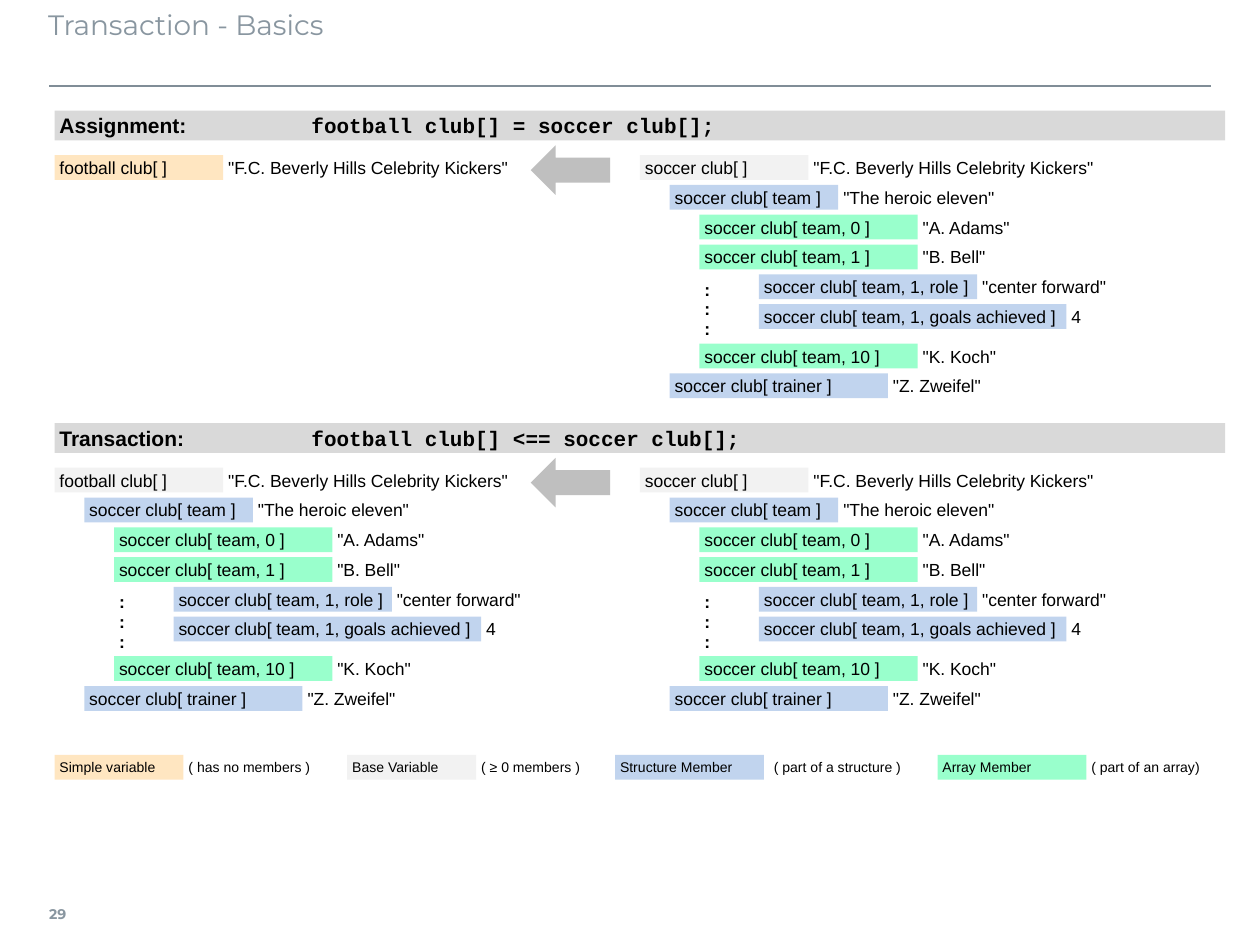
from dataclasses import dataclass

from pptx import Presentation
from pptx.dml.color import RGBColor
from pptx.enum.shapes import MSO_CONNECTOR as Connector, MSO_SHAPE as Shape
from pptx.enum.text import MSO_ANCHOR as Anchor, PP_ALIGN as Align
from pptx.oxml.ns import qn
from pptx.util import Inches, Mm, Pt


@dataclass(frozen=True)
class Theme:
    simple: str = "FFE6C1"
    base: str = "F2F2F2"
    structure: str = "C1D4EE"
    array: str = "99FFCC"
    bar: str = "D9D9D9"
    arrow: str = "BFBFBF"
    heading: str = "8996A0"
    rule: str = "808D97"
    ink: str = "000000"
    body_font: str = "Arial"
    code_font: str = "Courier New"
    title_font: str = "Montserrat"
    title_size: int = 16
    bar_size: int = 12
    body_size: int = 10
    small_size: int = 8


THEME = Theme()

# The grid has square cells of 1 mm
LEFT = 11       # margin of the content
RIGHT_TREE = 129  # left edge of the right-hand tree
INDENT = 6      # step between tree levels
CELL = 5        # height of a tag
BAR_TOPS = (22.3, 85.3)
LEGEND_TOP = 152.2

# Members below a base variable: row offset, level, width, kind, name, value, value width
MEMBERS = [
    (6, 1, 34, THEME.structure, "soccer club[ team ]", '"The heroic eleven"', 58),
    (12, 2, 44, THEME.array, "soccer club[ team, 0 ]", '"A. Adams"', 32),
    (18, 2, 44, THEME.array, "soccer club[ team, 1 ]", '"B. Bell"', 32),
    (24, 4, 44, THEME.structure, "soccer club[ team, 1, role ]", '"center forward"', 28),
    (30, 4, 62, THEME.structure, "soccer club[ team, 1, goals achieved ]", "4", 10),
    (38, 2, 44, THEME.array, "soccer club[ team, 10 ]", '"K. Koch"', 32),
    (44, 1, 44, THEME.structure, "soccer club[ trainer ]", '"Z. Zweifel"', 44),
]
DOT_ROWS = (24, 28, 32)
CLUB = '"F.C. Beverly Hills Celebrity Kickers"'
CLUB_WIDTH = 61  # room for the club name on one line

# Legend: column, width, kind, name, note column, note width, note
LEGEND = [
    (11, 26, THEME.simple, "Simple variable", 37, 34, "( has no members )"),
    (70, 26, THEME.base, "Base Variable", 96, 31, "( ≥ 0 members )"),
    (124, 30, THEME.structure, "Structure Member", 155, 34, "( part of a structure )"),
    (189, 30, THEME.array, "Array Member", 219, 30, "( part of an array)"),
]


class SlideBuilder:
    def __init__(self, page, theme):
        self.page = page
        self.theme = theme

    def style(self, span, size, font=None, color=None, bold=False):
        span.font.size = Pt(size)
        span.font.name = font or self.theme.body_font
        span.font.bold = bold
        span.font.color.rgb = RGBColor.from_string(color or self.theme.ink)

    def frame(self, box, margins=(1, 1, 1, 1), anchor=Anchor.MIDDLE, wrap=False):
        frame = box.text_frame
        frame.margin_left, frame.margin_top, frame.margin_right, frame.margin_bottom = map(Mm, margins)
        frame.vertical_anchor = anchor
        frame.word_wrap = wrap
        return frame

    def text(self, column, row, width, height, words, size, font=None, color=None, bold=False, **layout):
        box = self.page.shapes.add_textbox(Mm(column), Mm(row), Mm(width), Mm(height))
        frame = self.frame(box, **layout)
        frame.text = words
        self.style(frame.paragraphs[0].runs[0], size, font, color, bold)

    def block(self, column, row, width, height, fill, kind=Shape.RECTANGLE):
        shape = self.page.shapes.add_shape(kind, Mm(column), Mm(row), Mm(width), Mm(height))
        shape.shadow.inherit = False
        shape.fill.solid()
        shape.fill.fore_color.rgb = RGBColor.from_string(fill)
        shape.line.fill.background()
        return shape

    def tag(self, column, row, width, fill, words, size):
        frame = self.frame(self.block(column, row, width, CELL, fill))
        frame.text = words
        para = frame.paragraphs[0]
        para.alignment = Align.LEFT
        self.style(para.runs[0], size)

    def pair(self, column, row, width, fill, name, value, value_width):
        size = self.theme.body_size
        self.tag(column, row, width, fill, name, size)
        self.text(column + width, row, value_width, CELL, value, size)

    def bar(self, row, label, code):
        para = self.frame(self.block(LEFT, row, 236, 6, self.theme.bar)).paragraphs[0]
        para.alignment = Align.LEFT
        properties = para._p.get_or_add_pPr()
        stops = properties.makeelement(qn("a:tabLst"), {})
        stops.append(stops.makeelement(qn("a:tab"), {"pos": str(Inches(2)), "algn": "l"}))
        properties.append(stops)
        for words, font in ((label, self.theme.body_font), (code, self.theme.code_font)):
            span = para.add_run()
            span.text = words
            self.style(span, self.theme.bar_size, font, bold=True)

    def tree(self, column, row, root):
        self.pair(column, row, 34, self.theme.base, root, CLUB, CLUB_WIDTH)
        for offset, level, width, fill, name, value, value_width in MEMBERS:
            self.pair(column + level * INDENT, row + offset, width, fill, name, value, value_width)
        for offset in DOT_ROWS:
            self.text(column + 2 * INDENT, row + offset, 4, 6, ":", self.theme.body_size, bold=True)

    def arrow(self, row):
        self.block(107, row, 16, 10, self.theme.arrow, Shape.LEFT_ARROW)

    def rule(self, start, end, row):
        line = self.page.shapes.add_connector(Connector.STRAIGHT, Mm(start), Mm(row), Mm(end), Mm(row))
        line.line.color.rgb = RGBColor.from_string(self.theme.rule)
        line.line.width = Pt(1)
        properties = line._element.spPr
        properties.append(properties.makeelement(qn("a:effectLst"), {}))


def main():
    deck = Presentation()
    deck.slide_width, deck.slide_height = Inches(10), Inches(7.5)
    slide = SlideBuilder(deck.slides.add_slide(deck.slide_layouts[6]), THEME)

    # Title, rule and page number
    heading = {"font": THEME.title_font, "color": THEME.heading}
    slide.rule(9.9, 244.1, 17.3)
    slide.text(9.9, 179.3, 9, 10, "29", THEME.small_size, bold=True, margins=(0, 1.27, 2, 1.27), **heading)
    slide.text(9.7, 0.3, 234, 16, "Transaction - Basics", THEME.title_size,
               margins=(0, 1.27, 2.54, 1.27), anchor=Anchor.TOP, wrap=True, **heading)

    # Both sections share the bar, the arrow and the source tree
    bars = [
        ("Assignment:", "\tfootball club[] = soccer club[];"),
        ("Transaction:", " \tfootball club[] <== soccer club[];"),
    ]
    first_rows = [top + 9 for top in BAR_TOPS]
    for top, row, (label, code) in zip(BAR_TOPS, first_rows, bars):
        slide.bar(top, label, code)
        slide.tree(RIGHT_TREE, row, "soccer club[ ]")
        slide.arrow(row - 2)

    # Targets: a single value, then a whole tree
    slide.pair(LEFT, first_rows[0], 34, THEME.simple, "football club[ ]", CLUB, CLUB_WIDTH)
    slide.tree(LEFT, first_rows[1], "football club[ ]")

    # Legend
    for column, width, fill, name, note_column, note_width, note in LEGEND:
        slide.tag(column, LEGEND_TOP, width, fill, name, THEME.small_size)
        slide.text(note_column, LEGEND_TOP, note_width, CELL, note, THEME.small_size)

    deck.save("out.pptx")


if __name__ == "__main__":
    main()
